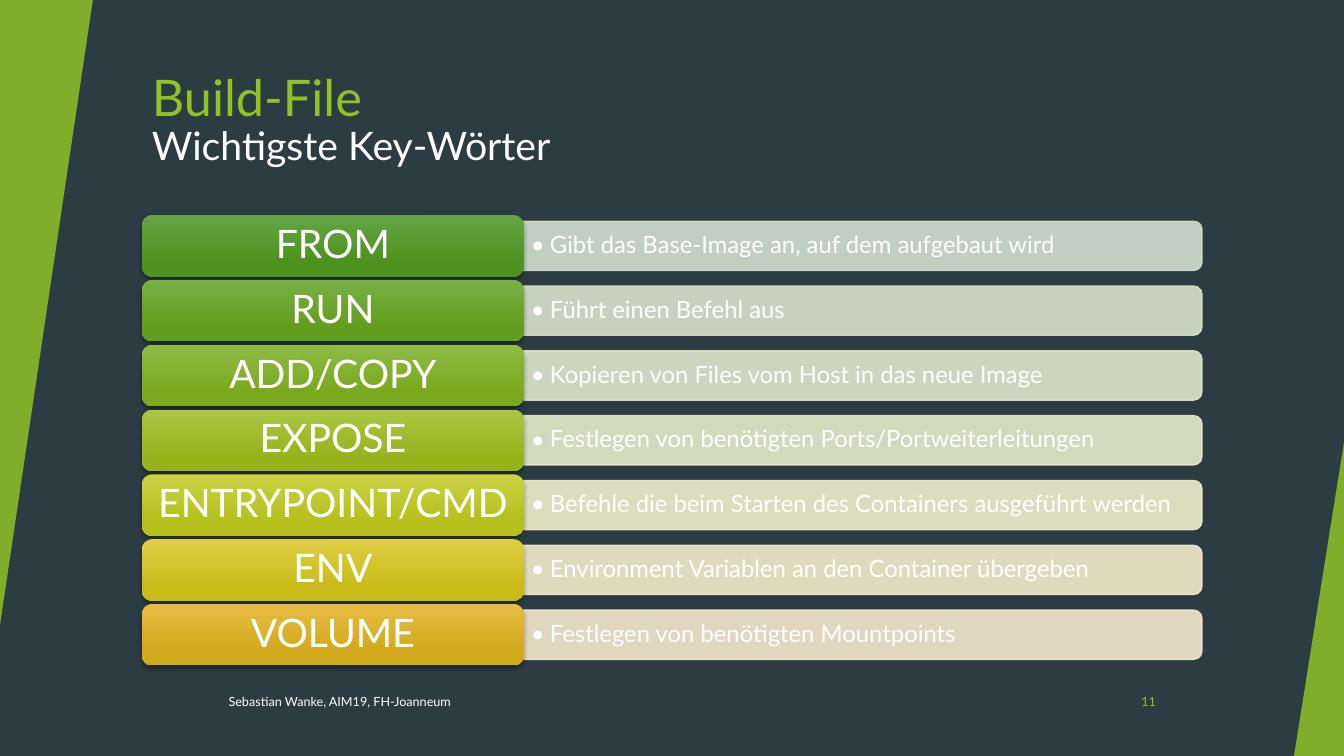
"""Build the slide on the most important build-file keywords."""
from lxml import etree
from pptx import Presentation
from pptx.dml.color import RGBColor
from pptx.enum.shapes import MSO_SHAPE
from pptx.enum.text import MSO_ANCHOR, PP_ALIGN
from pptx.oxml.ns import qn
from pptx.util import Cm, Pt

TRI, ROUND, BAR = (MSO_SHAPE.ISOSCELES_TRIANGLE, MSO_SHAPE.ROUNDED_RECTANGLE,
                   MSO_SHAPE.ROUND_2_SAME_RECTANGLE)
TOP, MID = MSO_ANCHOR.TOP, MSO_ANCHOR.MIDDLE
LEFT, MIDST, RIGHT = PP_ALIGN.LEFT, PP_ALIGN.CENTER, PP_ALIGN.RIGHT
DARK = RGBColor(0x2C, 0x3C, 0x43)
GREEN = RGBColor(0x90, 0xC2, 0x26)
WHITE = RGBColor(0xFF, 0xFF, 0xFF)
FONT = "Lato"

TITLE = [("Build-File", 36, GREEN), ("Wichtigste Key-Wörter", 28, WHITE)]
FOOT = [("Sebastian Wanke, AIM19, FH-Joanneum", 9, WHITE)]
PAGE = [("11", 9, GREEN)]
ROWS = [
    ("FROM", "Gibt das Base-Image an, auf dem aufgebaut wird", "63A545", "4D921E", "D1DFCD"),
    ("RUN", "Führt einen Befehl aus", "77B044", "629D1E", "D6E4CC"),
    ("ADD/COPY", "Kopieren von Files vom Host in das neue Image", "8EBB44", "7BA81D", "DCE8CC"),
    ("EXPOSE", "Festlegen von benötigten Ports/Portweiterleitungen", "AAC744", "97B31C", "E5ECCB"),
    ("ENTRYPOINT/CMD", "Befehle die beim Starten des Containers ausgeführt werden",
     "CAD243", "B6BF1B", "EEEFCC"),
    ("ENV", "Environment Variablen an den Container übergeben", "DFCE43", "CABB19", "F2ECCC"),
    ("VOLUME", "Festlegen von benötigten Mountpoints", "E7BC43", "D2A91B", "F5E7CD"),
]
WEDGES = [((0, 0, 2.34, 15.75), 180), ((32.61, 11.15, 1.26, 7.9), 0)]

X, Y, LAST = 3.58, 5.42, 15.22
STEP = (LAST - Y) / (len(ROWS) - 1)
KEY_W, KEY_H = 9.62, 1.55
BAR_W, BAR_H = 17.09, 1.24
TEXT_W, TEXT_H = 17.04, 1.12


def put(item, vals):
    """Set each named value on the item."""
    for name, val in vals.items():
        setattr(item, name, val)


def write(shape, runs, side=LEFT, anchor=MID, pad=(0.25, 0.13), lead=None):
    """Fill a shape with runs, one to a line, and return the paragraph."""
    frame = shape.text_frame
    put(frame, {"word_wrap": True, "vertical_anchor": anchor,
                "margin_left": Cm(pad[0]), "margin_right": Cm(pad[0]),
                "margin_top": Cm(pad[1]), "margin_bottom": Cm(pad[1])})
    para = frame.paragraphs[0]
    put(para, {"alignment": side, "line_spacing": lead})
    for i, (text, size, color) in enumerate(runs):
        if i:
            para.add_line_break()
        run = para.add_run()
        run.text = text
        put(run.font, {"name": FONT, "size": Pt(size)})
        run.font.color.rgb = color
    return para


def box(slide, area, runs, **kind):
    """Add a text box and return its paragraph."""
    return write(slide.shapes.add_textbox(*map(Cm, area)), runs, **kind)


def form(slide, kind, area, turn=0):
    """Add a preset shape with no line and no shadow."""
    shape = slide.shapes.add_shape(kind, *map(Cm, area))
    shape.rotation = turn
    shape.shadow.inherit = False
    shape.line.fill.background()
    return shape


def fade(shape, share):
    """Make each colour of a shape partly clear."""
    for color in shape._element.spPr.iter(qn("a:srgbClr")):
        etree.SubElement(color, qn("a:alpha"), val=str(share * 1000))


def shade(shape):
    """Drop a soft shadow below a shape."""
    base = shape._element.spPr.find(qn("a:effectLst"))
    drop = etree.SubElement(base, qn("a:outerShdw"), blurRad=str(Pt(3)),
                            dist=str(Pt(2)), dir="5400000", rotWithShape="0")
    color = etree.SubElement(drop, qn("a:srgbClr"), val="000000")
    etree.SubElement(color, qn("a:alpha"), val="35000")


def dot(para):
    """Give a paragraph a hanging bullet."""
    props = para._p.get_or_add_pPr()
    props.set("marL", str(Cm(0.48)))
    props.set("indent", str(Cm(-0.48)))
    etree.SubElement(props, qn("a:buFont"), typeface=FONT)
    etree.SubElement(props, qn("a:buChar"), char="•")


def add_row(slide, top, key, note, light, deep, pale):
    """Draw one keyword with its explanation."""
    mid, edge = top + KEY_H / 2, X + KEY_W
    bar = form(slide, BAR, (edge + (BAR_W - BAR_H) / 2, mid - BAR_W / 2, BAR_H, BAR_W), 90)
    bar.fill.solid()
    bar.fill.fore_color.rgb = bar.line.color.rgb = RGBColor.from_string(pale)
    bar.line.width = Pt(1)
    fade(bar, 90)
    dot(box(slide, (edge, mid - TEXT_H / 2, TEXT_W, TEXT_H), [(note, 17, WHITE)],
            pad=(0.18, 0.1), lead=0.9))

    label = form(slide, ROUND, (X, top, KEY_W, KEY_H))
    label.fill.gradient()
    label.fill.gradient_angle = 270
    for stop, color, place in zip(label.fill.gradient_stops, (light, deep), (0, 0.78)):
        stop.color.rgb = RGBColor.from_string(color)
        stop.position = place
    shade(label)
    write(label, [(key, 28, WHITE)], side=MIDST, pad=(0.1, 0.1), lead=0.9)


def main():
    """Build and save the slide."""
    deck = Presentation()
    put(deck, {"slide_width": Cm(33.87), "slide_height": Cm(19.05)})
    slide = deck.slides.add_slide(deck.slide_layouts[6])
    slide.background.fill.solid()
    slide.background.fill.fore_color.rgb = DARK
    for area, turn in WEDGES:
        wedge = form(slide, TRI, area, turn)
        wedge.adjustments[0] = 1
        wedge.fill.solid()
        wedge.fill.fore_color.rgb = GREEN
        fade(wedge, 85)
    box(slide, (X, 1.7, 28.32, 3.05), TITLE, anchor=TOP, lead=0.9)
    box(slide, (5.51, 17.17, 17.5, 1.02), FOOT)
    box(slide, (27.48, 17.17, 1.9, 1.02), PAGE, side=RIGHT)
    for i, row in enumerate(ROWS):
        add_row(slide, Y + i * STEP, *row)
    deck.save("out.pptx")


if __name__ == "__main__":
    main()
